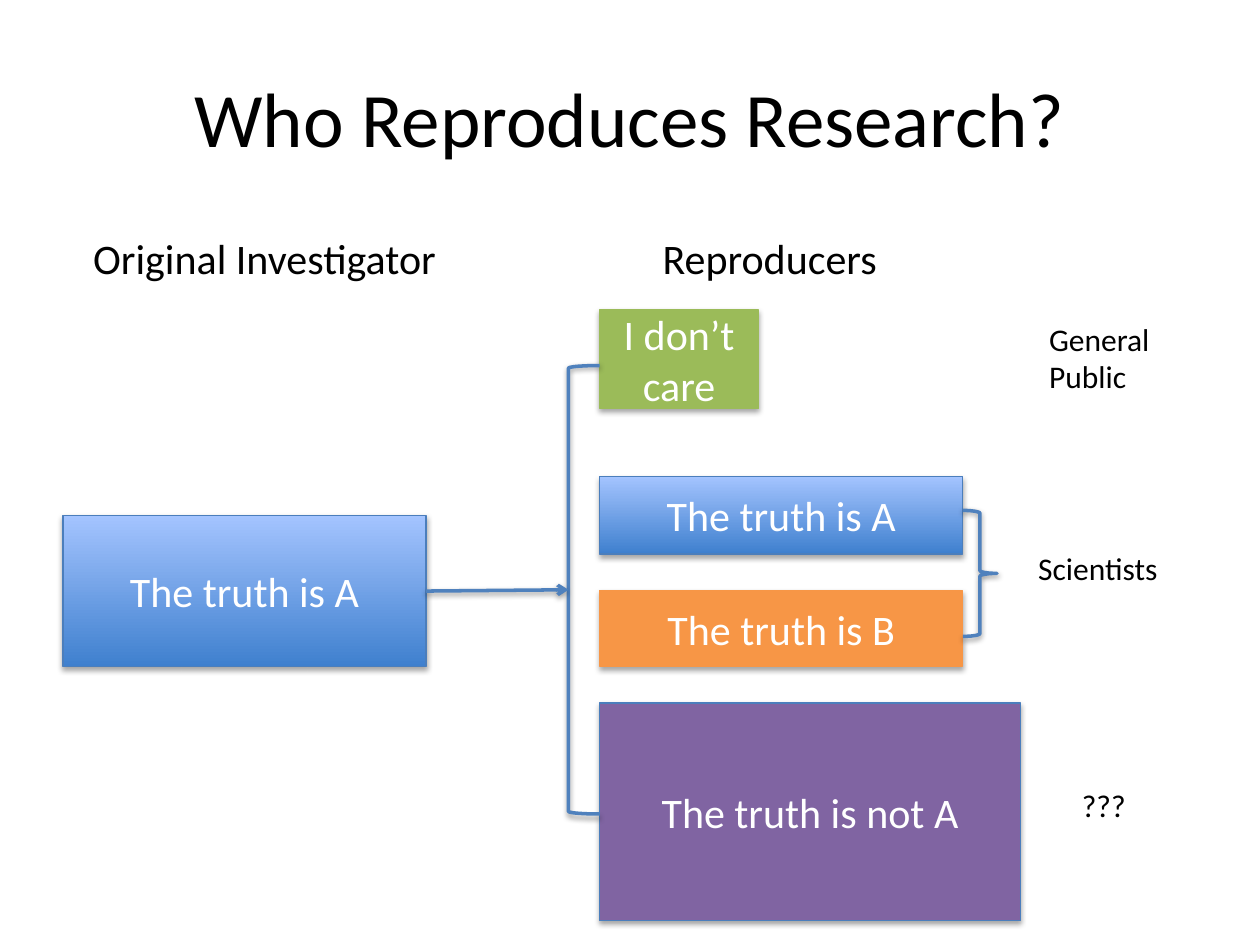
from lxml import etree
from pptx import Presentation
from pptx import util as u
from pptx.dml.color import RGBColor
from pptx.enum import shapes, text
from pptx.oxml.ns import qn

FONT = "Calibri"
BLACK, WHITE = "000000", "FFFFFF"
EDGE, ACCENT = "4B7EBC", "4F81BD"
BLUE = ("3F80CE", "A4C4FF")
GREEN, ORANGE, PURPLE = "9BBB59", "F79646", "8064A2"


def colour(value):
    return RGBColor.from_string(value)


def lengths(values):
    return [u.Cm(value) for value in values]


class SlideBuilder:
    def __init__(self, slide):
        self.slide = slide

    def set_words(self, box, words, size, hue, align):
        frame = box.text_frame
        frame.text = words
        para = frame.paragraphs[0]
        para.alignment = align
        for span in para.runs:
            span.font.name = FONT
            span.font.size = u.Pt(size)
            span.font.color.rgb = colour(hue)

    def shadow(self, element, distance, opacity):
        effects = etree.SubElement(element.spPr, qn("a:effectLst"))
        outer = etree.SubElement(
            effects, qn("a:outerShdw"), blurRad="40000",
            dist=str(distance), dir="5400000", rotWithShape="0")
        shade = etree.SubElement(outer, qn("a:srgbClr"), val=BLACK)
        etree.SubElement(shade, qn("a:alpha"), val=str(opacity * 1000))

    def stroke(self, item, hue, width):
        item.line.color.rgb = colour(hue)
        item.line.width = u.Pt(width)

    def label(self, words, place, size=18, wrap=True):
        box = self.slide.shapes.add_textbox(*lengths(place))
        box.text_frame.word_wrap = wrap
        box.text_frame.auto_size = text.MSO_AUTO_SIZE.SHAPE_TO_FIT_TEXT
        self.set_words(box, words, size, BLACK, text.PP_ALIGN.LEFT)

    def title(self, words, place):
        box = self.slide.shapes.add_textbox(*lengths(place))
        box.text_frame.word_wrap = True
        box.text_frame.vertical_anchor = text.MSO_ANCHOR.MIDDLE
        self.set_words(box, words, 44, BLACK, text.PP_ALIGN.CENTER)

    def claim(self, words, place, fill, edge):
        box = self.slide.shapes.add_shape(
            shapes.MSO_SHAPE.RECTANGLE, *lengths(place))
        if isinstance(fill, tuple):
            box.fill.gradient()
            box.fill.gradient_angle = 90
            for stop, hue in zip(box.fill.gradient_stops, fill):
                stop.color.rgb = colour(hue)
        else:
            box.fill.solid()
            box.fill.fore_color.rgb = colour(fill)
        self.stroke(box, edge, 0.75)
        self.shadow(box.element, 23000, 35)
        box.text_frame.vertical_anchor = text.MSO_ANCHOR.MIDDLE
        self.set_words(box, words, 24, WHITE, text.PP_ALIGN.CENTER)
        return box

    def bracket(self, kind, place):
        item = self.slide.shapes.add_shape(kind, *lengths(place))
        item.fill.background()
        self.stroke(item, ACCENT, 2)
        self.shadow(item.element, 20000, 38)
        return item

    def arrow(self, source, target):
        line = self.slide.shapes.add_connector(
            shapes.MSO_CONNECTOR.STRAIGHT, 0, 0, 0, 0)
        line.begin_connect(source, 3)
        line.end_connect(target, 1)
        self.stroke(line, ACCENT, 2)
        outline = line.element.spPr.find(qn("a:ln"))
        etree.SubElement(outline, qn("a:tailEnd"), type="arrow")
        self.shadow(line.element, 20000, 38)


def main():
    deck = Presentation()
    deck.slide_width, deck.slide_height = u.Cm(25.4), u.Cm(19.05)
    page = SlideBuilder(deck.slides.add_slide(deck.slide_layouts[6]))

    page.title("Who Reproduces Research?", (1.27, 0.76, 22.86, 3.18))
    page.label("Original Investigator", (1.63, 4.57, 7.54, 1.27), 24, False)
    page.label("Reproducers", (13.11, 4.57, 4.93, 1.27), 24, False)

    investigator = page.claim("The truth is A", (1.27, 10.39, 7.32, 3.05), BLUE, EDGE)
    reproducers = [
        ("I don’t care", 6.25, 3.2, 1.98, GREEN, GREEN),
        ("The truth is A", 9.6, 7.32, 1.57, BLUE, EDGE),
        ("The truth is B", 11.91, 7.32, 1.52, ORANGE, ORANGE),
        ("The truth is not A", 14.17, 8.48, 4.39, PURPLE, EDGE),
    ]
    for words, top, width, height, fill, edge in reproducers:
        page.claim(words, (12.09, top, width, height), fill, edge)

    fork = page.bracket(shapes.MSO_SHAPE.LEFT_BRACKET, (11.46, 7.37, 0.63, 9.04))
    page.arrow(investigator, fork)
    page.bracket(shapes.MSO_SHAPE.RIGHT_BRACE, (19.41, 10.29, 0.69, 2.54))

    page.label("General Public", (20.9, 6.32, 2.54, 1.8))
    page.label("Scientists", (20.68, 10.95, 2.97, 1.02), wrap=False)
    page.label("???", (21.56, 15.72, 1.78, 1.02))

    deck.save("out.pptx")


if __name__ == "__main__":
    main()
